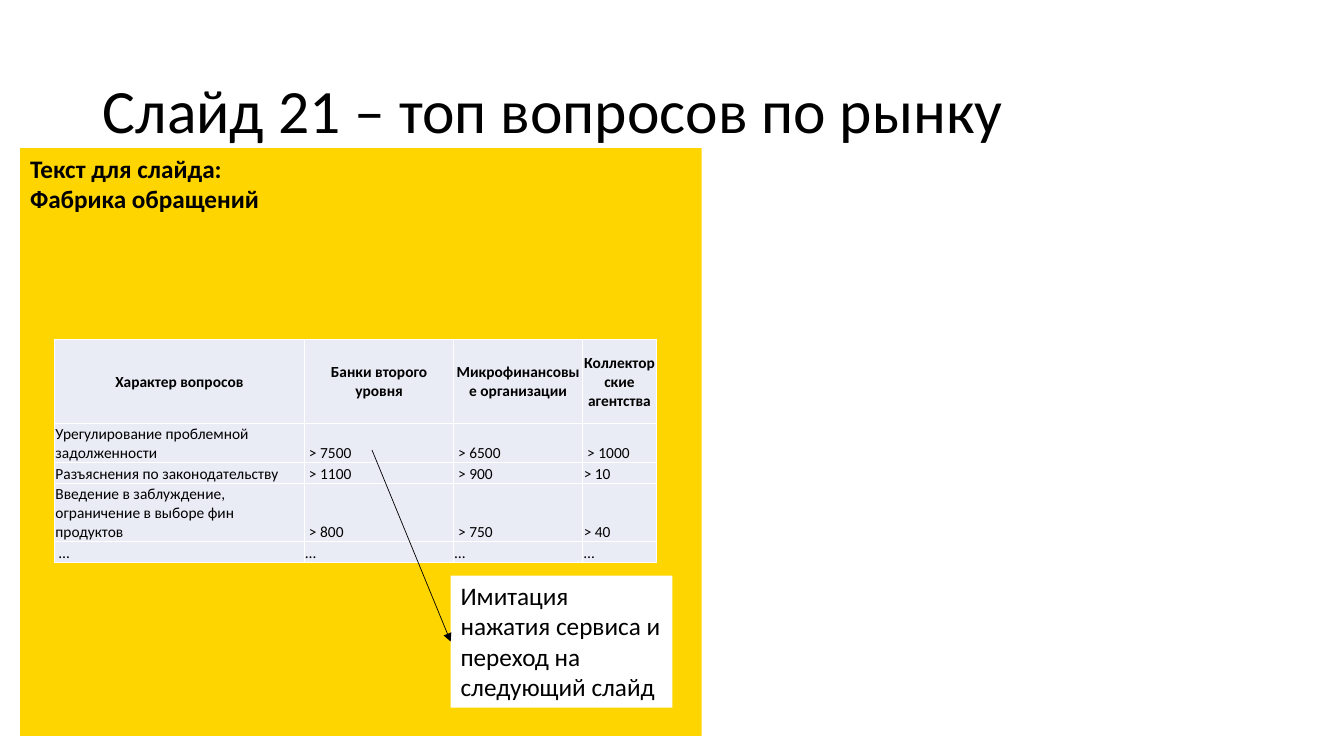
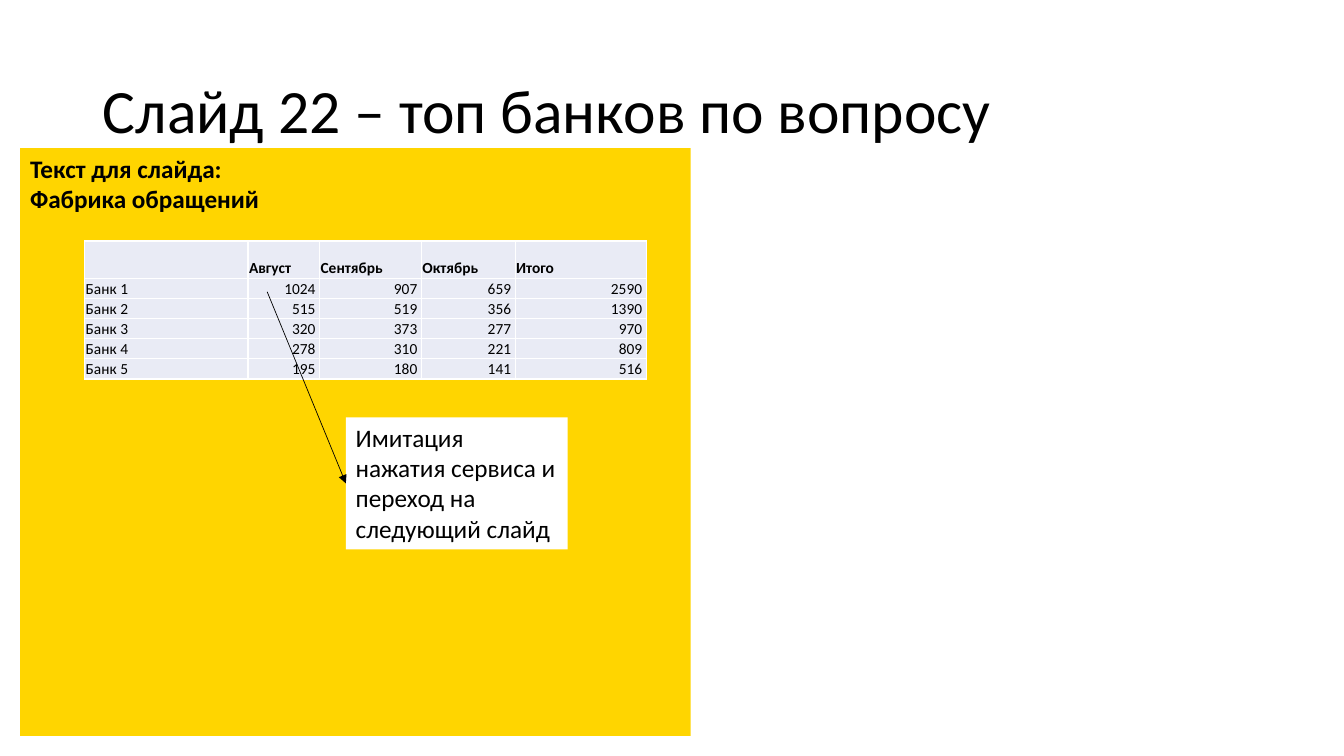
from lxml import etree
from pptx import Presentation
from pptx.dml.color import RGBColor
from pptx.enum.shapes import MSO_CONNECTOR as CONN, MSO_SHAPE as SHAPE
from pptx.enum.text import MSO_ANCHOR as ANCHOR, MSO_AUTO_SIZE as FIT, PP_ALIGN as ALIGN
from pptx.oxml.ns import qn
from pptx.util import Inches, Pt

BLACK, WHITE, YELLOW, PALE = "000000", "FFFFFF", "FFD500", "E9EBF5"
W, H = 13.33, 7.5
TITLE_BOX = (0.92, 0.4, 11.5, 1.45)
PANEL_LEFT, PANEL_TOP, PANEL_H = 0.2, 1.47, 5.83
NOTE_W, NOTE_H = 2.2, 1.31
ARROW_DX, ARROW_DY = 0.78, 1.9
HEADING = ["Текст для слайда:", "Фабрика обращений"]
NOTE = ["Имитация нажатия сервиса и переход на следующий слайд"]

MARKET_ROWS = [
    ["Характер вопросов", "Банки второго уровня", "Микрофинансовые организации",
     "Коллекторские агентства"],
    ["Урегулирование проблемной задолженности", " > 7500", " > 6500", " > 1000"],
    ["Разъяснения по законодательству", " > 1100", " > 900", "> 10"],
    ["Введение в заблуждение, ограничение в выборе фин продуктов",
     " > 800", " > 750", "> 40"],
    [" …", "…", "…", "…"],
]
BANK_COUNTS = [(1024, 907, 659), (515, 519, 356), (320, 373, 277),
               (278, 310, 221), (195, 180, 141)]
BANK_ROWS = [["", "Август", "Сентябрь", "Октябрь", "Итого"]] + [
    [f"Банк {i}", *counts, sum(counts)] for i, counts in enumerate(BANK_COUNTS, 1)]


def rgb(color):
    """Turn a hex string into a colour."""
    return RGBColor.from_string(color)


def apply(obj, **values):
    """Set attributes of an object from format values."""
    for name, value in values.items():
        setattr(obj, name, value)


def write(tf, lines, size, bold=False, align=ALIGN.LEFT, **para):
    """Write one paragraph per line into a text frame."""
    for i, line in enumerate(lines):
        p = tf.paragraphs[0] if i == 0 else tf.add_paragraph()
        apply(p, alignment=align, **para)
        if line:
            r = p.add_run()
            r.text = line
            apply(r.font, name="Calibri", size=Pt(size), bold=bold)
            r.font.color.rgb = rgb(BLACK)


def add_title(s, text):
    """Place and format the title placeholder."""
    sp = s.shapes.title
    apply(sp, **dict(zip(("left", "top", "width", "height"), map(Inches, TITLE_BOX))))
    apply(sp.text_frame, vertical_anchor=ANCHOR.MIDDLE, word_wrap=True, auto_size=FIT.NONE)
    write(sp.text_frame, [text], 44, line_spacing=0.9)


def add_box(s, box, color, lines, bold=False, fit=FIT.NONE):
    """Draw a filled rectangle with text at its top left."""
    sp = s.shapes.add_shape(SHAPE.RECTANGLE, *map(Inches, box))
    sp.shadow.inherit = False
    sp.fill.solid()
    sp.fill.fore_color.rgb = rgb(color)
    sp.line.fill.background()
    apply(sp.text_frame, word_wrap=True, vertical_anchor=ANCHOR.TOP, auto_size=fit)
    write(sp.text_frame, lines, 18, bold)


def add_borders(cell):
    """Give a cell thin white borders on every side."""
    tc_pr = cell._tc.get_or_add_tcPr()
    for side in ("lnL", "lnR", "lnT", "lnB"):
        ln = etree.SubElement(tc_pr, qn(f"a:{side}"), w=str(Pt(1)))
        fill = etree.SubElement(ln, qn("a:solidFill"))
        etree.SubElement(fill, qn("a:srgbClr"), val=WHITE)


def add_grid(s, left, top, cols, head_h, row_h, rows, head_align, head_anchor):
    """Place a table with a bold header row; numbers are right aligned."""
    heights = [head_h] + [row_h] * (len(rows) - 1)
    box = map(Inches, (left, top, sum(cols), sum(heights)))
    table = s.shapes.add_table(len(rows), len(cols), *box).table
    apply(table, first_row=False, horz_banding=False)
    for col, width in zip(table.columns, cols):
        col.width = Inches(width)
    for i, (row, height, values) in enumerate(zip(table.rows, heights, rows)):
        row.height = Inches(height)
        for cell, value in zip(row.cells, values):
            number = isinstance(value, int)
            add_borders(cell)
            cell.fill.solid()
            cell.fill.fore_color.rgb = rgb(PALE)
            apply(cell, margin_left=Inches(0.01), margin_top=Inches(0.01),
                  margin_right=Inches(0.04 if number else 0.01), margin_bottom=0,
                  vertical_anchor=ANCHOR.BOTTOM if i else head_anchor)
            body_align = ALIGN.RIGHT if number else ALIGN.LEFT
            write(cell.text_frame, [str(value)], 11, i == 0,
                  body_align if i else head_align)


def add_note(s, left, top):
    """Place the white note and the arrow that leads to its left side."""
    add_box(s, (left, top, NOTE_W, NOTE_H), WHITE, NOTE, fit=FIT.SHAPE_TO_FIT_TEXT)
    middle = top + NOTE_H / 2
    ends = (left - ARROW_DX, middle - ARROW_DY, left, middle)
    line = s.shapes.add_connector(CONN.STRAIGHT, *map(Inches, ends))
    line.line.color.rgb = rgb(BLACK)
    line.line.width = Pt(0.5)
    etree.SubElement(line.line._get_or_add_ln(), qn("a:tailEnd"), type="triangle")
    etree.SubElement(line._element.spPr, qn("a:effectLst"))


def add_top_slide(prs, title, panel_w, grid, note):
    """Build a slide with a title, a yellow panel, a table and a note."""
    s = prs.slides.add_slide(prs.slide_layouts[5])
    add_title(s, title)
    add_box(s, (PANEL_LEFT, PANEL_TOP, panel_w, PANEL_H), YELLOW, HEADING, bold=True)
    add_grid(s, **grid)
    add_note(s, *note)


def main():
    """Build and save the presentation."""
    prs = Presentation()
    apply(prs, slide_width=Inches(W), slide_height=Inches(H))
    market = dict(left=0.54, top=3.37, cols=[2.48, 1.48, 1.28, 0.73], head_h=0.83,
                  row_h=0.21, rows=MARKET_ROWS, head_align=ALIGN.CENTER,
                  head_anchor=ANCHOR.MIDDLE)
    banks = dict(left=0.84, top=2.39, cols=[1.62, 0.71, 1.01, 0.93, 1.3], head_h=0.37,
                 row_h=0.2, rows=BANK_ROWS, head_align=ALIGN.LEFT,
                 head_anchor=ANCHOR.BOTTOM)
    add_top_slide(prs, "Слайд 21 – топ вопросов по рынку", 6.76, market, (4.47, 5.71))
    add_top_slide(prs, "Слайд 22 – топ банков по вопросу", 6.65, banks, (3.43, 4.14))
    prs.save("out.pptx")


if __name__ == "__main__":
    main()
